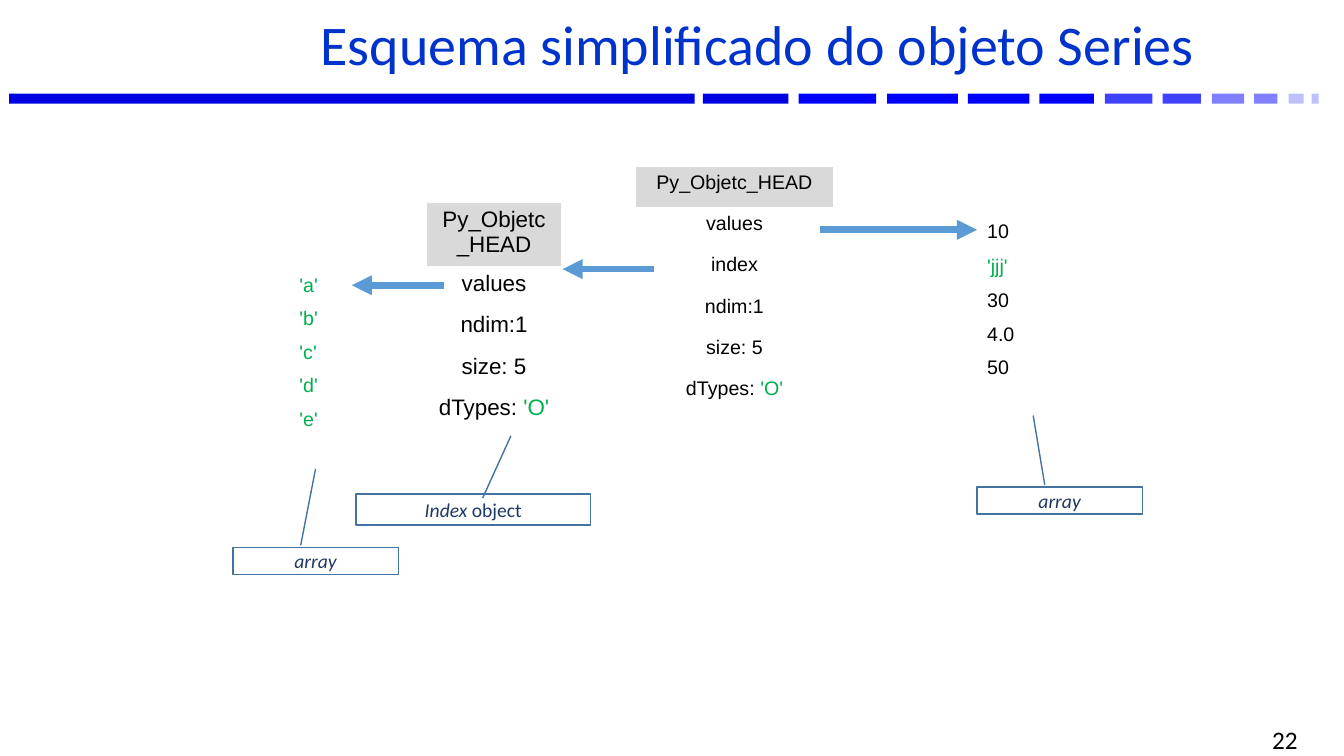
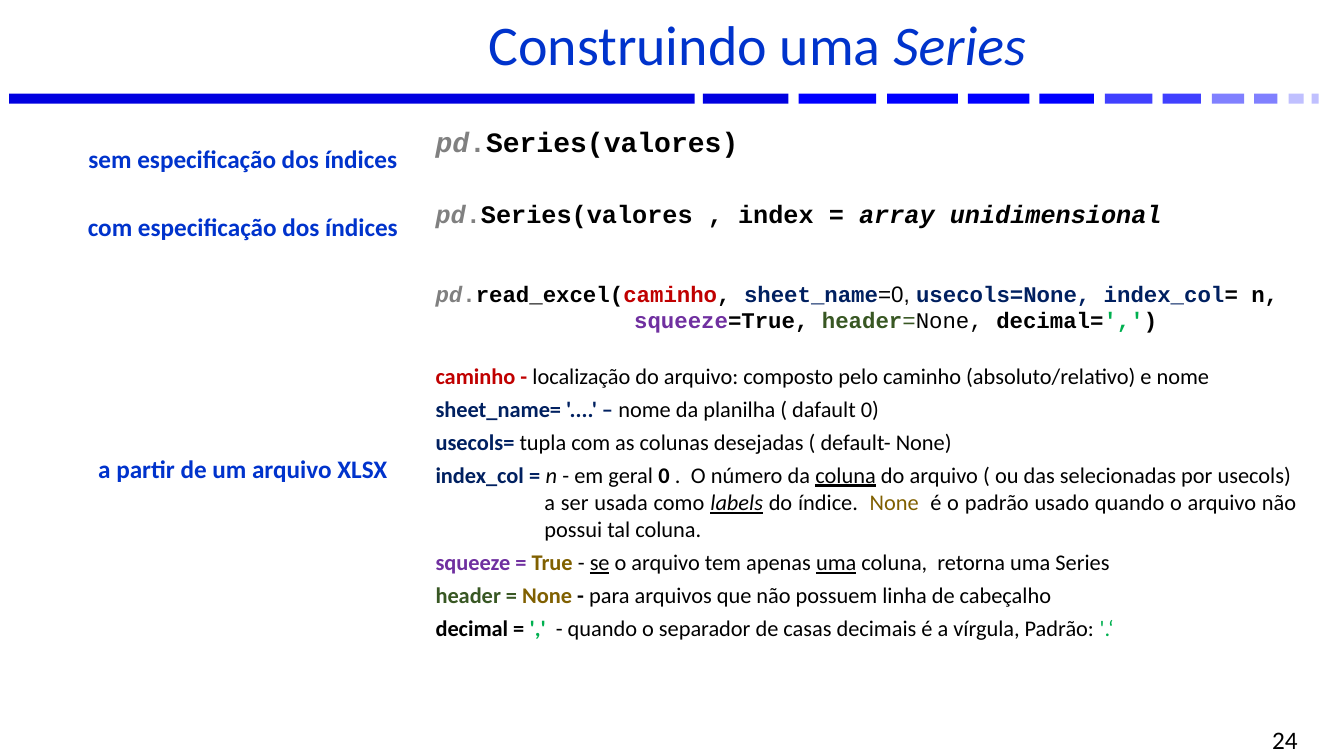
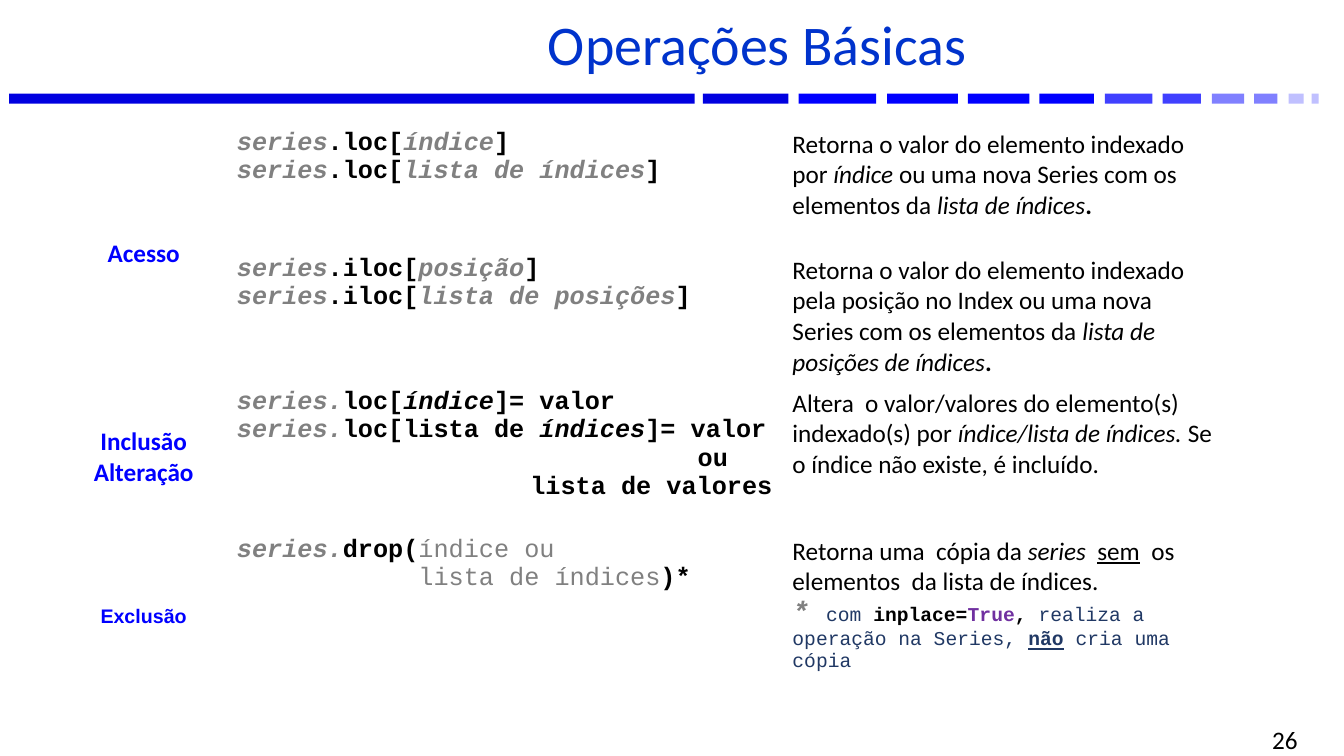
"""Build three slides about the pandas Series object."""
from dataclasses import dataclass
from typing import NamedTuple, Optional

from lxml.etree import SubElement
from pptx import Presentation
from pptx.dml.color import RGBColor
from pptx.enum.shapes import MSO_CONNECTOR, MSO_SHAPE
from pptx.enum.text import MSO_ANCHOR, PP_ALIGN
from pptx.oxml.ns import qn
from pptx.util import Inches, Pt

COLORS = {
    "black": "000000", "title": "0033CC", "gray": "808080", "header": "D9D9D9",
    "green": "00B050", "red": "C00000", "navy": "002060", "purple": "7030A0",
    "olive": "385723", "gold": "806000", "label": "0000FF", "note": "203864",
    "arrow": "5B9BD5", "callout": "43739E",
    "band1": "0000E0", "band2": "0000FF", "band3": "4040FF",
    "band4": "8080FF", "band5": "C0C0FF",
}
SANS, BODY, CODE = "Arial", "Calibri", "Courier New"
LEFT, CENTER, RIGHT, JUSTIFY = PP_ALIGN.LEFT, PP_ALIGN.CENTER, PP_ALIGN.RIGHT, PP_ALIGN.JUSTIFY
TOP, MIDDLE = MSO_ANCHOR.TOP, MSO_ANCHOR.MIDDLE


class Band(NamedTuple):
    left: float
    width: float
    color: str


BANDS = [
    Band(0.09, 6.8, "band1"), Band(6.97, 0.85, "band1"), Band(7.92, 0.77, "band2"),
    Band(8.8, 0.7, "band2"), Band(9.6, 0.61, "band2"), Band(10.31, 0.54, "band2"),
    Band(10.96, 0.47, "band3"), Band(11.53, 0.38, "band3"), Band(12.02, 0.32, "band4"),
    Band(12.44, 0.23, "band4"), Band(12.78, 0.15, "band5"), Band(13.01, 0.07, "band5"),
]


class Piece(NamedTuple):
    """A run of text; style holds any of b, i and u."""
    text: str
    color: str = "black"
    style: str = ""
    font: Optional[str] = None
    size: Optional[float] = None


@dataclass
class Line:
    """One paragraph; hanging is the indent of its wrapped lines."""
    pieces: list[Piece]
    align: PP_ALIGN = LEFT
    left: float = 0
    hanging: float = 0
    before: float = 0
    spacing: Optional[float] = None


@dataclass
class Cell:
    lines: list[Line]
    font: str
    size: float
    anchor: MSO_ANCHOR = TOP
    fill: Optional[str] = None


@dataclass
class Grid:
    """A table; a None cell joins the cell above it."""
    left: float
    top: float
    columns: list[float]
    heights: list[float]
    rows: list[list[Optional[Cell]]]


class Arrow(NamedTuple):
    start: float
    end: float
    y: float


class Callout(NamedTuple):
    left: float
    top: float
    width: float
    height: float
    adjustments: tuple[float, ...]
    pieces: list[Piece]


def color(name: str) -> RGBColor:
    """Return a palette colour."""
    return RGBColor.from_string(COLORS[name])


def write(text_frame, lines: list[Line], font: str, size: float) -> None:
    """Fill a text frame with formatted paragraphs."""
    for index, line in enumerate(lines):
        paragraph = text_frame.paragraphs[0] if index == 0 else text_frame.add_paragraph()
        paragraph.alignment = line.align
        if line.spacing:
            paragraph.line_spacing = line.spacing
        if index and line.before:
            paragraph.space_before = Pt(line.before)
        if line.left or line.hanging:
            properties = paragraph._p.get_or_add_pPr()
            properties.set("marL", str(Inches(line.left + line.hanging)))
            properties.set("indent", str(-Inches(line.hanging)))
        for piece in line.pieces:
            run = paragraph.add_run()
            run.text = piece.text
            run.font.name = piece.font or font
            run.font.size = Pt(piece.size or size)
            run.font.bold = "b" in piece.style
            run.font.italic = "i" in piece.style
            run.font.underline = "u" in piece.style
            run.font.color.rgb = color(piece.color)


def add_text(slide, left: float, top: float, width: float, height: float,
             line: Line, size: float, margin_top: float = 0.05) -> None:
    """Add a vertically centred text box."""
    text_frame = slide.shapes.add_textbox(
        Inches(left), Inches(top), Inches(width), Inches(height)).text_frame
    text_frame.word_wrap = True
    text_frame.vertical_anchor = MIDDLE
    text_frame.margin_top = Inches(margin_top)
    write(text_frame, [line], BODY, size)


def add_slide(presentation, title: list[Piece], number: str):
    """Add a slide with the shared bands, title and number."""
    slide = presentation.slides.add_slide(presentation.slide_layouts[6])
    for band in BANDS:
        shape = slide.shapes.add_shape(
            MSO_SHAPE.RECTANGLE, Inches(band.left), Inches(0.93), Inches(band.width), Inches(0.1))
        shape.shadow.inherit = False
        shape.fill.solid()
        shape.fill.fore_color.rgb = color(band.color)
        shape.line.fill.background()
    add_text(slide, 1.94, 0.06, 11.14, 0.77, Line(title, CENTER, spacing=0.8), 40, 0.13)
    add_text(slide, 9.86, 7.23, 3.11, 0.22, Line([Piece(number)], RIGHT), 18)
    return slide


def add_grid(slide, grid: Grid) -> None:
    """Add a plain table."""
    table = slide.shapes.add_table(
        len(grid.heights), len(grid.columns), Inches(grid.left), Inches(grid.top),
        Inches(sum(grid.columns)), Inches(sum(grid.heights))).table
    table.first_row = table.horz_banding = False
    for column, width in zip(table.columns, grid.columns):
        column.width = Inches(width)
    for row, height in zip(table.rows, grid.heights):
        row.height = Inches(height)
    for row_index, row_cells in enumerate(grid.rows):
        for column_index, content in enumerate(row_cells):
            cell = table.cell(row_index, column_index)
            cell.fill.background()
            if content is None:
                table.cell(row_index - 1, column_index).merge(cell)
                continue
            cell.vertical_anchor = content.anchor
            if content.fill:
                cell.fill.solid()
                cell.fill.fore_color.rgb = color(content.fill)
            write(cell.text_frame, content.lines, content.font, content.size)


def add_arrow(slide, arrow: Arrow) -> None:
    """Add a thick horizontal arrow."""
    connector = slide.shapes.add_connector(
        MSO_CONNECTOR.STRAIGHT, Inches(arrow.start), Inches(arrow.y),
        Inches(arrow.end), Inches(arrow.y))
    connector.line.color.rgb = color("arrow")
    connector.line.width = Pt(4.75)
    SubElement(connector.line._get_or_add_ln(), qn("a:tailEnd"), type="triangle")
    SubElement(connector._element.spPr, qn("a:effectLst"))


def add_callout(slide, callout: Callout) -> None:
    """Add an outlined callout with its leader line."""
    shape = slide.shapes.add_shape(
        MSO_SHAPE.LINE_CALLOUT_1, Inches(callout.left), Inches(callout.top),
        Inches(callout.width), Inches(callout.height))
    for index, value in enumerate(callout.adjustments):
        shape.adjustments[index] = value
    shape.shadow.inherit = False
    shape.fill.background()
    shape.line.color.rgb = color("callout")
    shape.line.width = Pt(1)
    shape.text_frame.vertical_anchor = MIDDLE
    write(shape.text_frame, [Line(callout.pieces, CENTER)], BODY, 14)


def object_grid(left: float, top: float, width: float, header_height: float,
                size: float, fields: list[str]) -> Grid:
    """Describe a Python object as a header over its fields."""
    lines = [Line([Piece(text)], CENTER) for text in ["Py_Objetc_HEAD", *fields]]
    lines.append(Line([Piece("dTypes: "), Piece("'O'", "green")], CENTER))
    rows = [[Cell([line], SANS, size)] for line in lines]
    rows[0][0].fill = "header"
    return Grid(left, top, [width], [header_height] + [0.41] * (len(rows) - 1), rows)


def array_grid(left: float, top: float, first_height: float, values: list[str]) -> Grid:
    """Describe an array as a column, with strings in green."""
    rows = [[Cell([Line([Piece(value, "green" if value.startswith("'") else "black")])], SANS, 14)]
            for value in values]
    return Grid(left, top, [0.58], [first_height] + [0.32] * (len(values) - 1), rows)


def build_scheme(presentation) -> None:
    """Build the slide with the Series diagram."""
    slide = add_slide(presentation, [Piece("Esquema simplificado do objeto Series", "title")], "22")
    for grid in (
        object_grid(6.3, 1.65, 1.97, 0.41, 14, ["values", "index", "ndim:1", "size: 5"]),
        object_grid(4.23, 2.01, 1.34, 0.59, 16, ["values", "ndim:1", "size: 5"]),
        array_grid(9.69, 2.14, 0.35, ["10", "'jjj'", "30", "4.0", "50"]),
        array_grid(2.87, 2.67, 0.32, ["'a'", "'b'", "'c'", "'d'", "'e'"]),
    ):
        add_grid(slide, grid)
    for arrow in (Arrow(8.13, 9.69, 2.28), Arrow(6.49, 5.58, 2.67), Arrow(4.4, 3.49, 2.83)):
        add_arrow(slide, arrow)
    array = [Piece("array", "note", "i")]
    for callout in (
        Callout(9.69, 4.83, 1.64, 0.27, (-0.07, 0.41, -2.62, 0.34), array),
        Callout(3.53, 4.9, 2.33, 0.31, (0.13, 0.54, -1.86, 0.66),
                [Piece("Index ", "note", "i"), Piece("object", "note")]),
        Callout(2.31, 5.43, 1.64, 0.27, (-0.07, 0.41, -2.88, 0.5), array),
    ):
        add_callout(slide, callout)


def pandas_call(pieces: list[Piece], hanging: float = 0) -> Line:
    """Return a line of code that starts with pd."""
    return Line([Piece("pd", "gray", "bi"), Piece(".", "gray", "b"), *pieces], hanging=hanging)


def parameter(pieces: list[Piece], hanging: float = 0) -> Line:
    """Return a justified parameter description."""
    return Line(pieces, JUSTIFY, hanging=hanging, before=4)


def build_construction(presentation) -> None:
    """Build the slide on creating a Series."""
    slide = add_slide(
        presentation, [Piece("Construindo uma ", "title"), Piece("Series", "title", "i")], "24")
    labels = [
        Cell([Line([Piece(text, "title", "b")], CENTER, spacing=0.8)], BODY, 18, MIDDLE)
        for text in ("sem especificação dos índices", "com especificação dos índices",
                     "a partir de um arquivo XLSX")
    ]
    read_call = pandas_call([
        Piece("read_excel(", style="b"), Piece("caminho", "red", "b"), Piece(", ", style="b"),
        Piece("sheet_name", "navy", "b"), Piece("=0, ", font=SANS),
        Piece("usecols=None, index_col", "navy", "b"), Piece("= n, ", style="b"),
        Piece("squeeze", "purple", "b"), Piece("=True, ", style="b"),
        Piece("header", "olive", "b"), Piece("=", "olive"), Piece("None, "),
        Piece("decimal=", style="b"), Piece("','", "green", "b"), Piece(")", style="b"),
    ], 1.97)
    parameters = [
        parameter([
            Piece("caminho - ", "red", "b"),
            Piece("localização do arquivo: composto pelo caminho (absoluto/relativo) e nome")]),
        parameter([Piece("sheet_name= '....' – ", "navy", "b"),
                   Piece("nome da planilha ( dafault 0)")]),
        parameter([Piece("usecols= ", "navy", "b"),
                   Piece("tupla com as colunas desejadas ( default- None)")]),
        parameter([
            Piece("index_col = ", "navy", "b"), Piece("n ", style="i"), Piece("- em geral "),
            Piece("0", style="b"), Piece(" .  O número da "), Piece("coluna", style="u"),
            Piece(" do arquivo ( ou das selecionadas por usecols)  a ser usada como "),
            Piece("labels", style="iu"), Piece(" do índice.  "), Piece("None ", "gold"),
            Piece(" é o padrão usado quando o arquivo não possui tal coluna.")], 1.08),
        parameter([
            Piece("squeeze = ", "purple", "b"), Piece("True", "gold", "b"), Piece(" - "),
            Piece("se", style="u"), Piece(" o arquivo tem apenas "), Piece("uma", style="u"),
            Piece(" coluna,  retorna uma Series")], 0.98),
        parameter([
            Piece("header = ", "olive", "b"), Piece("None ", "gold", "b"), Piece("- ", style="b"),
            Piece("para arquivos que não possuem linha de cabeçalho")]),
        parameter([
            Piece("decimal = ", style="b"), Piece("',' ", "green", "b"),
            Piece(" - quando o separador de casas decimais é a vírgula, Padrão: "),
            Piece("'.‘", "green")]),
    ]
    add_grid(slide, Grid(0.6, 1.23, [3.62, 8.74], [0.73, 0.62, 0.97, 3.22], [
        [labels[0], Cell([pandas_call([Piece("Series(valores)", style="b")])], CODE, 20)],
        [labels[1], Cell([pandas_call([
            Piece("Series(valores , index = ", style="b"),
            Piece("array unidimensional", style="bi")])], CODE, 18)],
        [labels[2], Cell([read_call], CODE, 16, MIDDLE)],
        [None, Cell(parameters, BODY, 16)],
    ]))


def access(method: str, argument: str) -> Line:
    """Return a line of code that reads from a series."""
    return Line([Piece("series", "gray", "bi"), Piece(f".{method}[", style="b"),
                 Piece(argument, "gray", "bi"), Piece("]", style="b")])


def operation(texts: list[str], font: str = BODY, size: float = 18) -> Cell:
    """Return the label cell of an operation."""
    return Cell([Line([Piece(text, "label", "b")], CENTER) for text in texts], font, size, MIDDLE)


def build_operations(presentation) -> None:
    """Build the slide on basic operations."""
    slide = add_slide(presentation, [Piece("Operações Básicas", "title")], "26")
    series = Piece("series.", "gray", "bi")
    assignment = [
        Line([series, Piece("loc[", style="b"), Piece("índice", style="bi"),
              Piece("]= valor", style="b")]),
        Line([series, Piece("loc[lista de ", style="b"), Piece("índices", style="bi"),
              Piece("]= valor", style="b")], hanging=2.16),
        Line([Piece("ou", style="b")], left=4.57),
        Line([Piece("lista de valores", style="b")], RIGHT),
    ]
    removal = [
        Line([series, Piece("drop(", style="b"), Piece("índice ou", "gray")]),
        Line([Piece("            lista de índices", "gray"), Piece(")*", style="b")]),
    ]
    removal_note = [
        Line([Piece("Retorna uma  cópia da "), Piece("series  ", style="i"),
              Piece("sem", style="u"), Piece("  ", style="i"),
              Piece("os elementos  da lista de índices.")]),
        Line([Piece(text, name, style, CODE, size) for text, name, style, size in (
            ("* ", "gray", "bi", 20), ("com ", "note", "", 14), ("inplace=", "black", "b", 14),
            ("True", "purple", "b", 14), (", ", "black", "b", 14),
            ("realiza a operação na Series, ", "note", "", 14), ("não", "note", "bu", 14),
            (" cria uma cópia", "note", "", 14))]),
    ]
    add_grid(slide, Grid(0.6, 1.23, [1.65, 5.51, 4.37], [1.25, 1.32, 1.47, 1.7], [
        [operation(["Acesso"]),
         Cell([access("loc", "índice"), access("loc", "lista de índices")], CODE, 18),
         Cell([Line([Piece("Retorna o valor do elemento indexado por "),
                     Piece("índice ", style="i"),
                     Piece("ou uma nova Series com os elementos da "),
                     Piece("lista de índices", style="i"), Piece(".", style="b")])], BODY, 18)],
        [None,
         Cell([access("iloc", "posição"), access("iloc", "lista de posições")], CODE, 18),
         Cell([Line([Piece("Retorna o valor do elemento indexado pela posição no Index "
                           "ou uma nova Series com os elementos da "),
                     Piece("lista de  posições de índices", style="i"),
                     Piece(".", style="b")])], BODY, 18)],
        [operation(["Inclusão", "Alteração"]),
         Cell(assignment, CODE, 18),
         Cell([Line([Piece("Altera  o valor/valores do elemento(s) indexado(s) por "),
                     Piece("índice/lista de índices. ", style="i"),
                     Piece("Se o índice não existe, é incluído.")])], BODY, 18)],
        [operation(["Exclusão"], SANS, 14), Cell(removal, CODE, 18), Cell(removal_note, BODY, 18)],
    ]))


def main() -> None:
    """Build and save the presentation."""
    presentation = Presentation()
    presentation.slide_width = Inches(13.33)
    presentation.slide_height = Inches(7.5)
    build_scheme(presentation)
    build_construction(presentation)
    build_operations(presentation)
    presentation.save("out.pptx")


if __name__ == "__main__":
    main()
